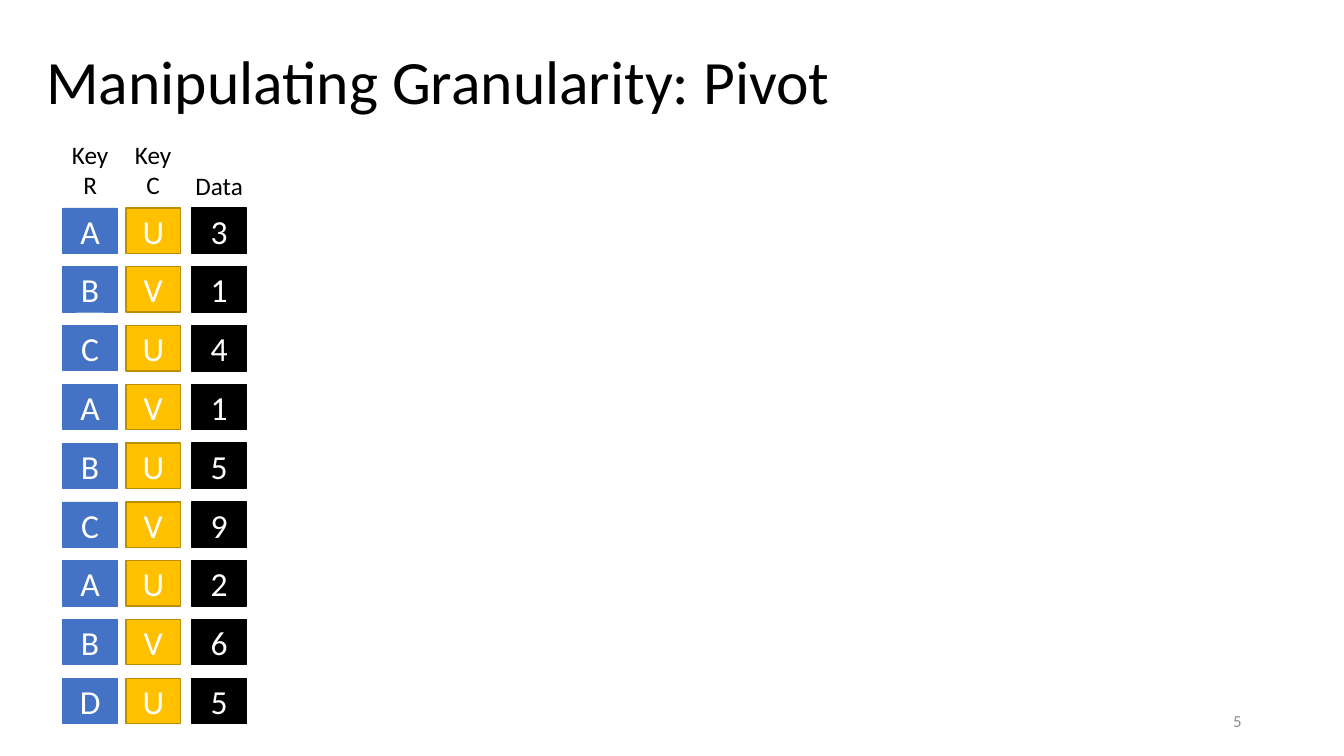
import pptx
import pptx.dml.color
import pptx.enum.shapes
import pptx.enum.text
import pptx.util

Pt = pptx.util.Pt
RGBColor = pptx.dml.color.RGBColor
ALIGN = pptx.enum.text.PP_ALIGN
ANCHOR = pptx.enum.text.MSO_ANCHOR

BLACK = RGBColor(0x00, 0x00, 0x00)
WHITE = RGBColor(0xFF, 0xFF, 0xFF)
BLUE = RGBColor(0x44, 0x72, 0xC4)
GOLD = RGBColor(0xFF, 0xC0, 0x00)
DARK_GOLD = RGBColor(0xBD, 0x8E, 0x00)
GRAY = RGBColor(0x8C, 0x8C, 0x8C)

CELL_WIDTH, CELL_HEIGHT = 39, 32.4
FIRST_ROW_TOP, ROW_PITCH = 148.5, 42

# Left edge, fill, line colour and line width of each column
COLUMNS = [
    (44.9, BLUE, BLUE, 0.5),
    (90, GOLD, DARK_GOLD, 1),
    (137, BLACK, BLACK, 1),
]
# Each row holds key R, key C and the data value
ROWS = ["AU3", "BV1", "CU4", "AV1", "BU5", "CV9", "AU2", "BV6", "DU5"]
# Text, left, top, width and height; \v is a line break, \n a new paragraph
HEADINGS = [
    ("Key\vR", 41, 95.8, 46.8, 51),
    ("Key\nC", 86, 95.8, 46.8, 51),
    ("Data", 127, 118, 59, 29),
]


class SlideBuilder:
    """Holds the text style and the current slide."""

    def __init__(self, slide, font_name):
        """Remember the slide and its font."""
        self.slide = slide
        self.font_name = font_name

    def set_text(self, shape, text, size, color, align, anchor):
        """Put styled text into a shape."""
        text_frame = shape.text_frame
        text_frame.text = text
        text_frame.vertical_anchor = anchor
        for paragraph in text_frame.paragraphs:
            paragraph.alignment = align
            for run in paragraph.runs:
                run.font.name = self.font_name
                run.font.size = Pt(size)
                run.font.color.rgb = color

    def text_box(self, text, left, top, width, height, size,
                 color=BLACK, align=ALIGN.LEFT, anchor=ANCHOR.MIDDLE):
        """Add a wrapping text box."""
        box = self.slide.shapes.add_textbox(
            Pt(left), Pt(top), Pt(width), Pt(height))
        box.text_frame.word_wrap = True
        self.set_text(box, text, size, color, align, anchor)
        return box

    def heading(self, text, left, top, width, height):
        """Add a centred column heading that fits its text."""
        box = self.text_box(text, left, top, width, height, 18,
                            align=ALIGN.CENTER, anchor=ANCHOR.TOP)
        box.text_frame.word_wrap = False
        box.text_frame.auto_size = pptx.enum.text.MSO_AUTO_SIZE.SHAPE_TO_FIT_TEXT

    def data_row(self, values, top):
        """Add one group of cells, one cell per column."""
        group = self.slide.shapes.add_group_shape()
        for value, (left, fill, line, line_width) in zip(values, COLUMNS):
            cell = group.shapes.add_shape(
                pptx.enum.shapes.MSO_SHAPE.RECTANGLE,
                Pt(left), Pt(top), Pt(CELL_WIDTH), Pt(CELL_HEIGHT))
            cell.shadow.inherit = False
            cell.fill.solid()
            cell.fill.fore_color.rgb = fill
            cell.line.color.rgb = line
            cell.line.width = Pt(line_width)
            self.set_text(cell, value, 24, WHITE, ALIGN.CENTER, ANCHOR.MIDDLE)


def main():
    """Build and save the presentation."""
    presentation = pptx.Presentation()
    presentation.slide_width = Pt(960)
    presentation.slide_height = Pt(540)
    slide = presentation.slides.add_slide(presentation.slide_layouts[6])
    builder = SlideBuilder(slide, "Calibri")

    title = builder.text_box("Manipulating Granularity: Pivot",
                             26, 8, 850, 104.4, 44)
    title.text_frame.paragraphs[0].line_spacing = 0.9
    for heading in HEADINGS:
        builder.heading(*heading)
    for index, values in enumerate(ROWS):
        builder.data_row(values, FIRST_ROW_TOP + index * ROW_PITCH)
    builder.text_box("5", 678, 500.5, 216, 28.8, 12, GRAY, ALIGN.RIGHT)

    presentation.save("out.pptx")


main()
